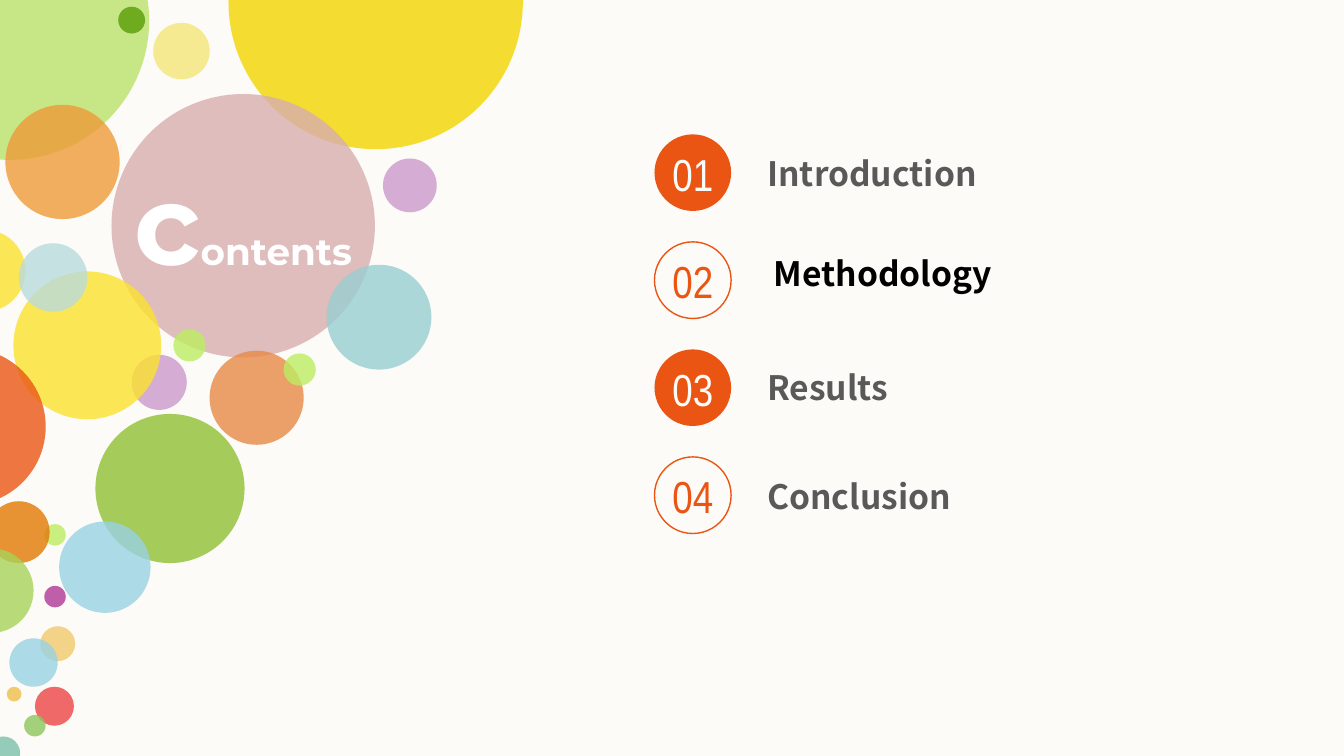
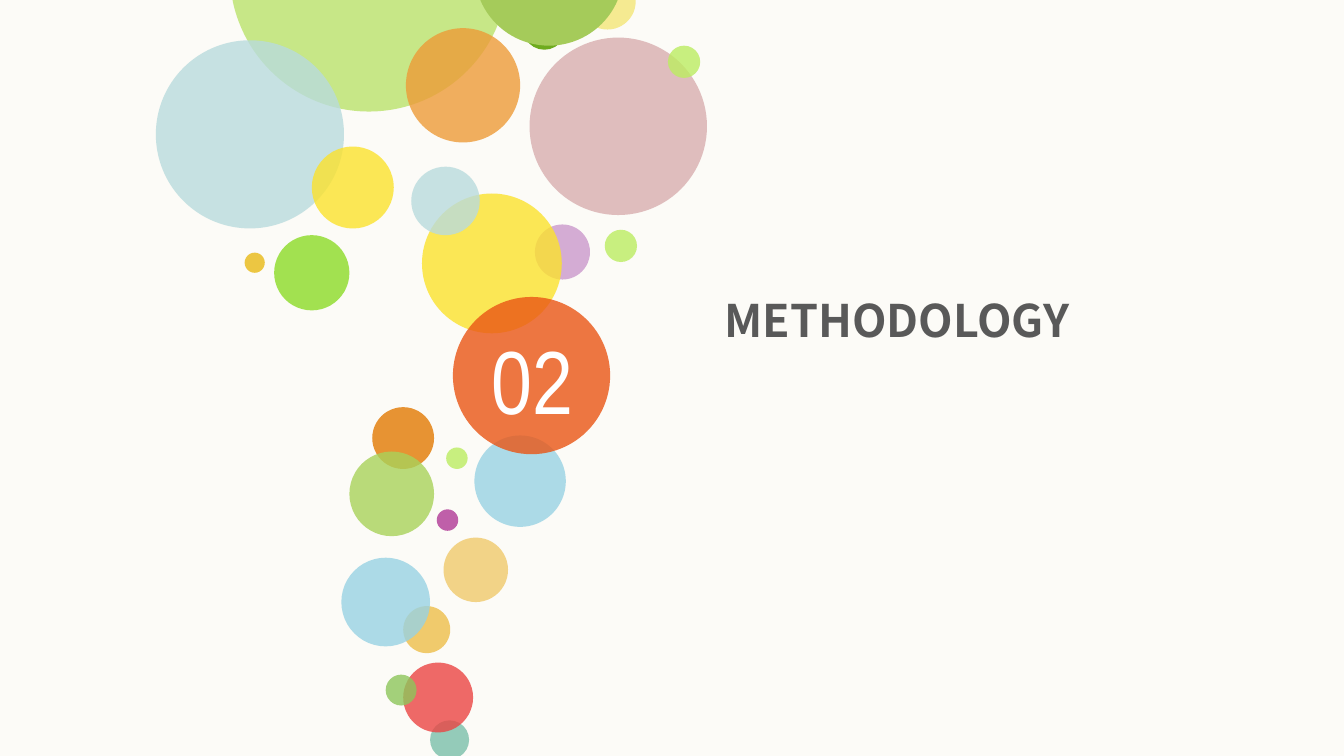
from dataclasses import dataclass

from lxml import etree
from pptx import Presentation
from pptx import util as u
from pptx.dml.color import RGBColor
from pptx.enum import shapes, text
from pptx.oxml.ns import qn

WIDTH, HEIGHT = u.Inches(10), u.Inches(5.625)
CELL = WIDTH / 100  # square grid cell: the slide is 100 columns wide

COLORS = {
    "paper": "FCFBF7", "white": "FFFFFF", "black": "000000", "grey": "595959",
    "spring": "BAE36B", "moss": "6EAB1F", "apricot": "ED9B38", "cream": "F5EA91",
    "sun": "F4D500", "rose": "D8AEAF", "teal": "99CED2", "lilac": "CB99CC",
    "copper": "E78A47", "leaf": "A5CB5A", "lime": "BCED61", "lemon": "FBE22D",
    "grass": "8CDB27", "gold": "E9B915", "plum": "B03896", "sand": "F0CA6C",
    "jade": "7BBFAA", "coral": "EB4544", "fern": "8DC65B", "sky": "98D2E3",
    "mist": "B9DBDD", "amber": "E27902", "pear": "A9D25A", "orange": "EA5514",
}
NUMBER_FONT, LABEL_FONT, TITLE_FONT = "Arial Narrow", "Noto Sans CJK SC", "Montserrat"


@dataclass(frozen=True)
class Area:
    """A rectangle in grid columns and rows."""
    left: float
    top: float
    width: float
    height: float

    def lengths(self) -> tuple[int, ...]:
        return tuple(round(n * CELL) for n in (self.left, self.top, self.width, self.height))


@dataclass(frozen=True)
class Bubble:
    color: str
    left: float
    top: float
    size: float
    solid: bool = False


@dataclass(frozen=True)
class Style:
    font: str
    size: float
    color: str
    bold: bool = False
    centered: bool = False


@dataclass(frozen=True)
class Entry:
    label: str
    area: Area
    color: str = "grey"
    inset: bool = False


CONTENTS_BUBBLES = [
    Bubble("spring", -9.6, -8.8, 20.7), Bubble("moss", 8.8, 0.5, 2, True),
    Bubble("apricot", 0.4, 7.8, 8.5), Bubble("cream", 11.4, 1.7, 4.2, True),
    Bubble("sun", 17, -10.8, 21.9), Bubble("rose", 8.3, 7, 19.6),
    Bubble("teal", 24.3, 19.7, 7.8), Bubble("lilac", 28.5, 11.8, 4),
    Bubble("copper", 15.6, 26.1, 7), Bubble("leaf", 7.1, 30.8, 11.1, True),
    Bubble("lime", 21.1, 26.3, 2.4), Bubble("lime", 12.9, 24.5, 2.4),
    Bubble("lilac", 9.8, 26.4, 4.1), Bubble("lemon", 1, 20.2, 11),
    Bubble("lemon", -4.2, 17.1, 6.1), Bubble("lime", 3.3, 39, 1.6),
    Bubble("plum", 3.3, 43.6, 1.6), Bubble("sand", 3, 46.6, 2.6),
    Bubble("sand", 0.5, 51.1, 1.1, True), Bubble("jade", -1, 54.8, 2.5),
    Bubble("coral", 2.6, 51.1, 2.9), Bubble("fern", 1.8, 53.2, 1.6),
    Bubble("sky", 0.7, 47.5, 3.6), Bubble("mist", 1.4, 18.1, 5.1),
    Bubble("sky", 4.4, 38.8, 6.8), Bubble("amber", -0.9, 37.3, 4.6),
    Bubble("pear", -3.8, 40.8, 6.3), Bubble("orange", -8.3, 25.9, 11.7),
]

SECTION_BUBBLES = [
    Bubble("spring", 17.1, -12.4, 20.7), Bubble("moss", 38.9, 0.5, 3.2, True),
    Bubble("mist", 11.6, 3, 14), Bubble("apricot", 30.2, 2.1, 8.5),
    Bubble("cream", 43.1, -2, 4.2, True), Bubble("rose", 39.4, 2.8, 13.2),
    Bubble("leaf", 35.3, -7.7, 11.1, True), Bubble("lime", 49.7, 3.4, 2.4),
    Bubble("lime", 45, 17.1, 2.4), Bubble("lilac", 39.8, 16.7, 4.1),
    Bubble("lemon", 31.4, 14.4, 10.4), Bubble("lemon", 23.2, 10.9, 6.1),
    Bubble("grass", 20.4, 17.5, 5.6), Bubble("gold", 18.2, 18.8, 1.5),
    Bubble("lime", 33.2, 33.3, 1.6), Bubble("plum", 32.5, 37.9, 1.6),
    Bubble("sand", 33, 40, 4.8), Bubble("sand", 30, 45.1, 3.5, True),
    Bubble("jade", 32, 53.6, 2.9), Bubble("coral", 30, 49.3, 5.2),
    Bubble("fern", 28.7, 50.2, 2.3), Bubble("sky", 25.4, 41.5, 6.6),
    Bubble("mist", 30.6, 12.4, 5.1), Bubble("sky", 35.3, 32.4, 6.8),
    Bubble("amber", 27.7, 30.3, 4.6), Bubble("pear", 26, 33.6, 6.3),
    Bubble("orange", 33.7, 22.1, 11.7),
]

ENTRIES = [
    Entry("Introduction", Area(57.1, 11.4, 27.6, 3)),
    Entry("Methodology", Area(56.6, 18.3, 19.6, 4), "black", True),
    Entry("Results", Area(57.1, 27.3, 27.6, 3)),
    Entry("Conclusion", Area(57.1, 35.4, 27.6, 3)),
]
BADGE_LEFT, BADGE_TOP, BADGE_SIZE, BADGE_PITCH = 48.7, 10, 5.7, 8


def rgb(name: str) -> RGBColor:
    return RGBColor.from_string(COLORS[name])


def add_circle(page, left: float, top: float, size: float):
    circle = page.shapes.add_shape(
        shapes.MSO_SHAPE.OVAL, *Area(left, top, size, size).lengths())
    circle.shadow.inherit = False
    return circle


def add_bubbles(page, bubbles: list[Bubble]) -> None:
    for bubble in bubbles:
        circle = add_circle(page, bubble.left, bubble.top, bubble.size)
        circle.fill.solid()
        circle.fill.fore_color.rgb = rgb(bubble.color)
        circle.line.fill.background()
        if not bubble.solid:
            color = circle.element.spPr.find(".//" + qn("a:srgbClr"))
            etree.SubElement(color, qn("a:alpha"), val="80000")


def set_font(font, style: Style) -> None:
    font.name, font.size, font.bold = style.font, u.Pt(style.size), style.bold
    font.color.rgb = rgb(style.color)


def format_text(box, words: str, style: Style, inset: bool = False):
    """Write one paragraph into the box and return it."""
    frame = box.text_frame
    frame.word_wrap = True
    frame.auto_size = text.MSO_AUTO_SIZE.SHAPE_TO_FIT_TEXT
    frame.vertical_anchor = text.MSO_ANCHOR.TOP
    if not inset:
        frame.margin_left = frame.margin_right = frame.margin_top = frame.margin_bottom = 0
    para = frame.paragraphs[0]
    para.text = words
    para.alignment = text.PP_ALIGN.CENTER if style.centered else text.PP_ALIGN.LEFT
    set_font(para.font, style)
    return para


def add_text(page, area: Area, words: str, style: Style, inset: bool = False) -> None:
    format_text(page.shapes.add_textbox(*area.lengths()), words, style, inset)


def place_title(page, area: Area, words: str, style: Style):
    """Bring the title placeholder to the front and fill it."""
    title = page.shapes.title
    title.left, title.top, title.width, title.height = area.lengths()
    page.shapes.element.append(title.element)
    return format_text(title, words, style)


def add_badge(page, index: int) -> None:
    top = BADGE_TOP + index * BADGE_PITCH
    filled = index % 2 == 0
    circle = add_circle(page, BADGE_LEFT, top, BADGE_SIZE)
    if filled:
        circle.fill.solid()
        circle.fill.fore_color.rgb = rgb("orange")
        circle.line.fill.background()
    else:
        circle.fill.background()
        circle.line.color.rgb = rgb("orange")
        circle.line.width = u.Pt(0.75)
    style = Style(NUMBER_FONT, 24, "paper" if filled else "orange", centered=True)
    add_text(page, Area(BADGE_LEFT, top + 0.9, BADGE_SIZE, 4), f"{index + 1:02}", style)


def build_contents(page) -> None:
    add_bubbles(page, CONTENTS_BUBBLES)
    para = place_title(page, Area(9.5, 11.4, 17.2, 10.1), "c",
                       Style(TITLE_FONT, 60, "white", bold=True, centered=True))
    span = para.add_run()
    span.text = "ontents"
    for run, size in zip(para.runs, (60, 20)):
        set_font(run.font, Style(TITLE_FONT, size, "white", bold=True))
    for index, entry in enumerate(ENTRIES):
        add_badge(page, index)
        add_text(page, entry.area, entry.label,
                 Style(LABEL_FONT, 18, entry.color, bold=True), entry.inset)


def build_section(page) -> None:
    add_bubbles(page, SECTION_BUBBLES)
    add_text(page, Area(35.6, 24.2, 8, 8.1), "02",
             Style(NUMBER_FONT, 48, "white", centered=True))
    place_title(page, Area(53.9, 21.8, 30.4, 4), "METHODOLOGY",
                Style(LABEL_FONT, 24, "grey", bold=True))


def main() -> None:
    deck = Presentation()
    deck.slide_width, deck.slide_height = WIDTH, HEIGHT
    background = deck.slide_master.background.fill
    background.solid()
    background.fore_color.rgb = rgb("paper")
    title_only = deck.slide_layouts.get_by_name("Title Only")
    for build in (build_contents, build_section):
        build(deck.slides.add_slide(title_only))
    deck.save("out.pptx")


if __name__ == "__main__":
    main()
